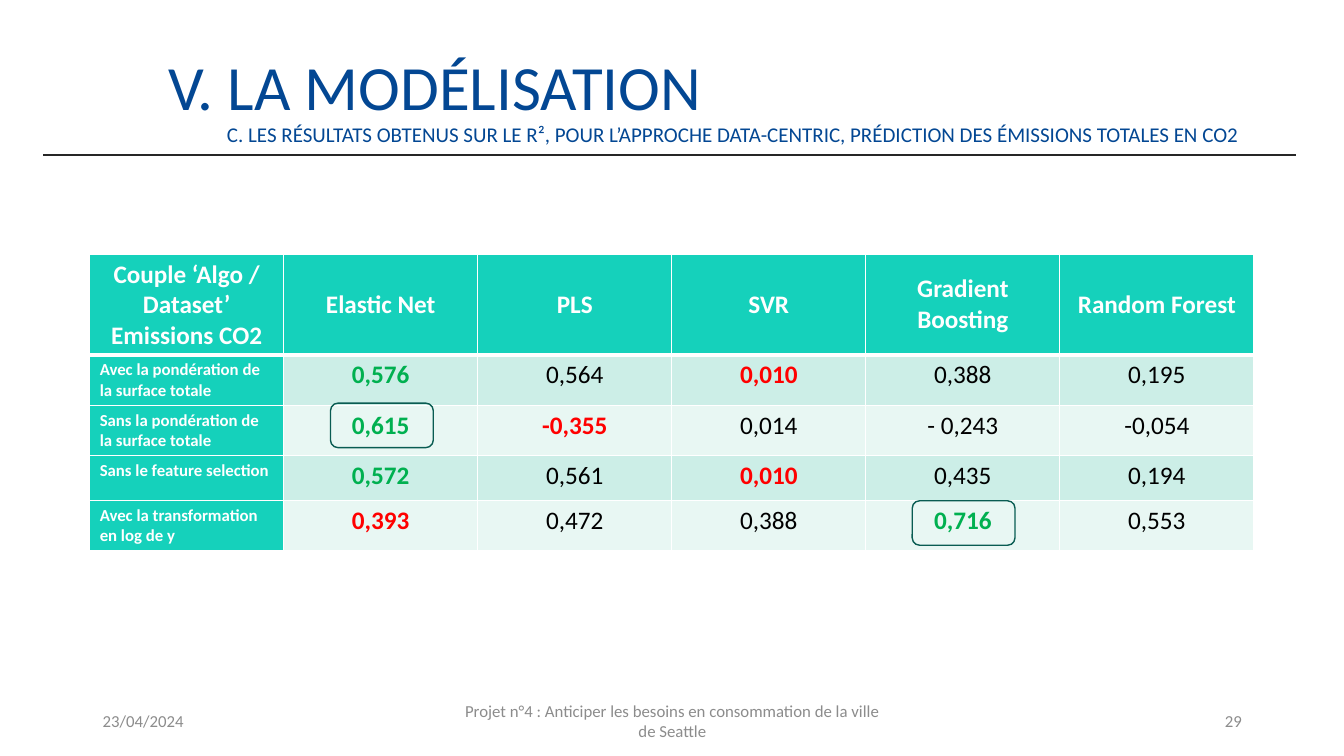
from lxml import etree
from pptx import Presentation
from pptx.dml.color import RGBColor
from pptx.enum.shapes import MSO_CONNECTOR, MSO_SHAPE
from pptx.enum.text import MSO_ANCHOR, PP_ALIGN
from pptx.oxml import parse_xml
from pptx.oxml.ns import nsdecls, qn
from pptx.util import Cm, Pt

BLUE, GREY, TEAL, WHITE = "034793", "8C8C8C", "15D1BB", "FFFFFF"
GREEN, RED, BLACK = "00B050", "FF0000", "000000"
BAND_COLORS = ["CCEEE7", "E8F7F3"]


def color(code):
    return RGBColor.from_string(code)


def write(frame, text, size, code, align=PP_ALIGN.LEFT, bold=False):
    frame.text = text
    for para in frame.paragraphs:
        para.alignment = align
        para.font.name = "Calibri"
        para.font.size = Pt(size)
        para.font.bold = bold
        para.font.color.rgb = color(code)


deck = Presentation()
deck.slide_width, deck.slide_height = Cm(33.87), Cm(19.05)
page = deck.slides.add_slide(deck.slide_layouts[6])

# Rule under the titles
rule = page.shapes.add_connector(
    MSO_CONNECTOR.STRAIGHT, Cm(1.09), Cm(3.91), Cm(32.66), Cm(3.91))
rule.line.color.rgb = color("262626")
rule.line.width = Pt(1)
etree.SubElement(rule._element.spPr, qn("a:effectLst"))

# Title and subtitle
titles = [
    ("V. LA MODÉLISATION", 45, 4.24, 0.94, 2.31, MSO_ANCHOR.BOTTOM),
    ("C. LES RÉSULTATS OBTENUS SUR LE R², POUR L’APPROCHE DATA-CENTRIC, "
     "PRÉDICTION DES ÉMISSIONS TOTALES EN CO2", 15, 5.72, 2.9, 1.02, MSO_ANCHOR.MIDDLE),
]
for text, size, left, top, height, anchor in titles:
    box = page.shapes.add_textbox(Cm(left), Cm(top), Cm(28.93), Cm(height))
    frame = box.text_frame
    frame.word_wrap = True
    frame.vertical_anchor = anchor
    frame.margin_left = frame.margin_right = 0
    write(frame, text, size, BLUE)
    frame.paragraphs[0].line_spacing = 0.9

# Footer: date, project, page number
footers = [
    ("23/04/2024", 2.34, 7.62, PP_ALIGN.LEFT),
    ("Projet n°4 : Anticiper les besoins en consommation de la ville de Seattle",
     11.23, 11.43, PP_ALIGN.CENTER),
    ("29", 23.93, 7.62, PP_ALIGN.RIGHT),
]
for text, left, width, align in footers:
    box = page.shapes.add_textbox(Cm(left), Cm(17.65), Cm(width), Cm(1.02))
    box.text_frame.word_wrap = True
    box.text_frame.vertical_anchor = MSO_ANCHOR.MIDDLE
    write(box.text_frame, text, 12, GREY, align)

# Scores by dataset, with the columns of the green and the red value
headers = ["Couple ‘Algo / Dataset’\nEmissions CO2", "Elastic Net", "PLS", "SVR",
           "Gradient Boosting", "Random Forest"]
scores = [
    ("Avec la pondération de la surface totale",
     ["0,576", "0,564", "0,010", "0,388", "0,195"], 1, 3),
    ("Sans la pondération de la surface totale",
     ["0,615", "-0,355", "0,014", "- 0,243", "-0,054"], 1, 2),
    ("Sans le feature selection",
     ["0,572", "0,561", "0,010", "0,435", "0,194"], 1, 3),
    ("Avec la transformation en log de y",
     ["0,393", "0,472", "0,388", "0,716", "0,553"], 4, 1),
]
table = page.shapes.add_table(
    5, 6, Cm(2.26), Cm(6.4), Cm(29.34), Cm(6.8)).table
for column in table.columns:
    column.width = Cm(4.89)
for index, row in enumerate(table.rows):
    row.height = Cm(1.12 if index else 2.32)

# Header row
for column, text in enumerate(headers):
    cell = table.cell(0, column)
    write(cell.text_frame, text, 18, WHITE, PP_ALIGN.CENTER, True)
    if column:
        cell.vertical_anchor = MSO_ANCHOR.MIDDLE

# Score rows
for row, (label, values, best, worst) in enumerate(scores, start=1):
    write(table.cell(row, 0).text_frame, label, 12, WHITE, bold=True)
    for column, value in enumerate(values, start=1):
        code = {best: GREEN, worst: RED}.get(column, BLACK)
        write(table.cell(row, column).text_frame, value, 18, code,
              PP_ALIGN.CENTER, code != BLACK)

# Cell borders and fills
for row in range(5):
    for column in range(6):
        cell = table.cell(row, column)
        widths = {"lnL": 1, "lnR": 1, "lnT": 3 if row == 1 else 1, "lnB": 1 if row else 3}
        for side, width in widths.items():
            cell._tc.get_or_add_tcPr().append(parse_xml(
                f'<a:{side} {nsdecls("a")} w="{Pt(width)}"><a:solidFill>'
                f'<a:srgbClr val="{WHITE}"/></a:solidFill></a:{side}>'))
        cell.fill.solid()
        is_heading = row == 0 or column == 0
        cell.fill.fore_color.rgb = color(TEAL if is_heading else BAND_COLORS[(row - 1) % 2])

# Frames around the two best scores
for left, top in [(8.33, 10.16), (22.99, 12.62)]:
    frame = page.shapes.add_shape(
        MSO_SHAPE.ROUNDED_RECTANGLE, Cm(left), Cm(top), Cm(2.59), Cm(1.12))
    frame.shadow.inherit = False
    frame.fill.background()
    frame.line.color.rgb = color("095C52")
    frame.line.width = Pt(1)

deck.save("out.pptx")
